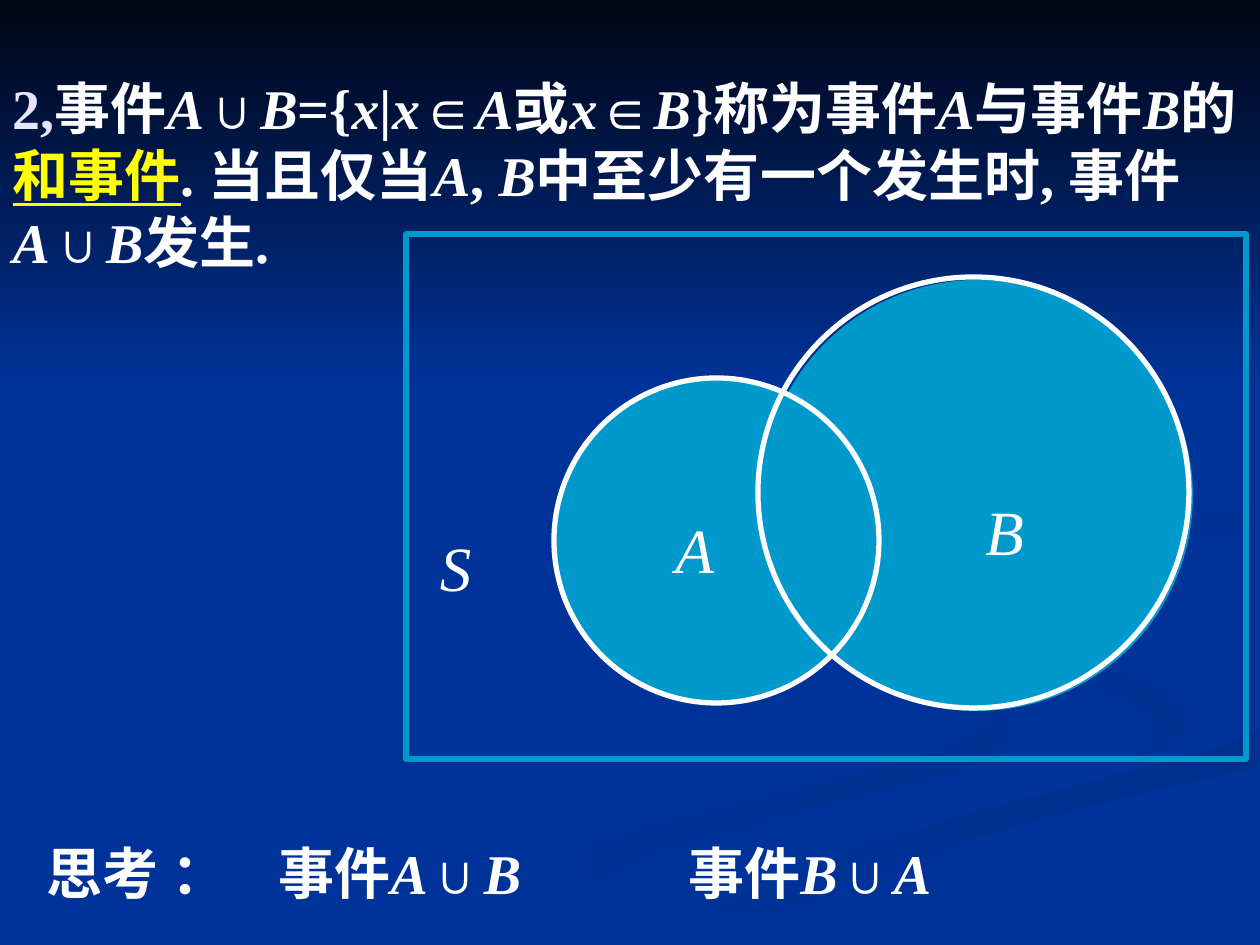
from itertools import groupby

from lxml.etree import SubElement
from pptx import Presentation
from pptx.dml.color import RGBColor
from pptx.enum.shapes import MSO_SHAPE
from pptx.enum.text import MSO_ANCHOR, MSO_AUTO_SIZE, PP_ALIGN
from pptx.oxml.ns import qn
from pptx.util import Pt

SCALE = 914400 / 126
WIDTH, HEIGHT = 1260, 945
NAVY, CYAN, WHITE, YELLOW, PALE = "003399", "0099CC", "FFFFFF", "FFFF00", "E5E5FF"

# Background ribbons: first colour, last colour, angle, outline
RIBBONS = [
    (NAVY, "003193", 0, [
        (984, 697), (954, 684), (921, 672), (859, 654), (809, 639), (774, 625),
        (748, 611), (734, 601), (725, 590), (725, 578), (718, 590), (721, 600),
        (738, 614), (770, 629), (824, 646), (878, 662), (934, 679), (970, 694),
        (984, 701), (989, 708), (990, 718), (983, 729), (966, 740), (944, 748),
        (916, 759), (881, 767), (822, 781), (730, 805), (629, 833), (525, 869),
        (426, 916), (378, 944), (455, 944), (499, 921), (587, 882), (670, 849),
        (748, 827), (820, 806), (881, 791), (932, 779), (969, 767), (990, 757),
        (1002, 746), (1008, 732), (1002, 714), (990, 701)]),
    (NAVY, "003193", 315, [
        (1188, 718), (1178, 702), (1158, 689), (1119, 674), (1071, 660),
        (1022, 648), (975, 634), (939, 617), (920, 604), (912, 585), (916, 604),
        (932, 622), (965, 645), (1004, 660), (1056, 675), (1094, 686),
        (1124, 697), (1143, 708), (1153, 719), (1157, 732), (1152, 742),
        (1143, 752), (1126, 762), (1153, 752), (1174, 742), (1186, 732)]),
    ("002F8C", NAVY, 270, [
        (654, 941), (634, 944), (719, 944), (740, 932), (774, 915), (818, 895),
        (876, 872), (948, 847), (1034, 820), (1138, 794), (1257, 767),
        (1257, 732), (1230, 744), (1179, 759), (1138, 769), (1047, 793),
        (963, 815), (877, 843), (794, 873), (717, 906)]),
    ("003091", NAVY, 315, [
        (984, 580), (985, 591), (996, 602), (1016, 614), (1041, 625),
        (1023, 614), (1014, 600), (1016, 589), (1028, 578), (1062, 564),
        (1106, 553), (1179, 541), (1223, 533), (1257, 529), (1257, 507),
        (1218, 515), (1131, 527), (1058, 538), (1021, 551), (997, 563)]),
    ("000514", NAVY, 270, [(0, 0), (0, 388), (WIDTH, 388), (WIDTH, 0)]),
]


def px(*lengths):
    return [round(length * SCALE) for length in lengths]


def color(hex_string):
    return RGBColor.from_string(hex_string)


class SlideBuilder:
    font_name = "Times New Roman"
    italic_symbols = "ABSx"

    def __init__(self, slide):
        self.slide = slide

    def background(self, fill):
        self.slide.background.fill.solid()
        self.slide.background.fill.fore_color.rgb = color(fill)

    def ribbon(self, first, last, angle, points):
        builder = self.slide.shapes.build_freeform(*points[0], scale=SCALE)
        builder.add_line_segments(points[1:], close=True)
        shape = builder.convert_to_shape()
        shape.shadow.inherit = False
        shape.line.fill.background()
        shape.fill.gradient()
        shape.fill.gradient_angle = angle
        for stop, stop_color in zip(shape.fill.gradient_stops, (first, last)):
            stop.color.rgb = color(stop_color)

    def shape(self, preset, box, fill=None, line=None):
        shape = self.slide.shapes.add_shape(preset, *px(*box))
        shape.shadow.inherit = False
        if fill:
            shape.fill.solid()
            shape.fill.fore_color.rgb = color(fill)
        else:
            shape.fill.background()
        if line:
            shape.line.color.rgb = color(line)
            shape.line.width = Pt(3)
        else:
            shape.line.fill.background()

    def add_runs(self, paragraph, text, text_color=WHITE, size=32, bold=True, underline=False):
        """Add text as runs, with the event and element symbols in italics."""
        for italic, symbols in groupby(text, lambda symbol: symbol in self.italic_symbols):
            run = paragraph.add_run()
            run.text = "".join(symbols)
            font = run.font
            font.name, font.size = self.font_name, Pt(size)
            font.bold, font.italic, font.underline = bold, italic, underline
            font.color.rgb = color(text_color)

    def title(self, box, parts):
        title = self.slide.shapes.title
        title.left, title.top, title.width, title.height = px(*box)
        # Bring the title in front of the background ribbons
        title._element.getparent().append(title._element)
        frame = title.text_frame
        frame.auto_size = MSO_AUTO_SIZE.NONE
        frame.vertical_anchor = MSO_ANCHOR.MIDDLE
        paragraph = frame.paragraphs[0]
        paragraph.alignment = PP_ALIGN.LEFT
        for text, text_color, underline in parts:
            self.add_runs(paragraph, text, text_color, underline=underline)

    def label(self, box, text):
        frame = self.slide.shapes.add_textbox(*px(*box)).text_frame
        frame.word_wrap = False
        paragraph = frame.paragraphs[0]
        paragraph.alignment = PP_ALIGN.CENTER
        self.add_runs(paragraph, text, size=36, bold=False)

    def tabbed_line(self, box, text, tab_stops):
        frame = self.slide.shapes.add_textbox(*px(*box)).text_frame
        frame.word_wrap = True
        frame.vertical_anchor = MSO_ANCHOR.MIDDLE
        paragraph = frame.paragraphs[0]
        tabs = SubElement(paragraph._p.get_or_add_pPr(), qn("a:tabLst"))
        for position in px(*tab_stops):
            SubElement(tabs, qn("a:tab"), pos=str(position), algn="l")
        self.add_runs(paragraph, text)


def main():
    presentation = Presentation()
    presentation.slide_width, presentation.slide_height = px(WIDTH, HEIGHT)
    slide = presentation.slides.add_slide(presentation.slide_layouts[5])
    builder = SlideBuilder(slide)

    builder.background(NAVY)
    for ribbon in RIBBONS:
        builder.ribbon(*ribbon)

    builder.title((0, 0, WIDTH, 348), [
        ("2,", PALE, False),
        ("事件A∪B={x|x∈A或x∈B}称为事件A与事件B的", WHITE, False),
        ("和事件", YELLOW, True),
        (". 当且仅当A, B中至少有一个发生时, 事件A∪B发生.", WHITE, False),
    ])

    builder.shape(MSO_SHAPE.OVAL, (556, 378, 325, 325), fill=CYAN)
    builder.shape(MSO_SHAPE.OVAL, (762, 280, 431, 431), fill=CYAN)
    builder.shape(MSO_SHAPE.RECTANGLE, (406, 234, 840, 525), line=CYAN)
    builder.shape(MSO_SHAPE.OVAL, (758, 277, 431, 431), line=WHITE)
    builder.shape(MSO_SHAPE.OVAL, (554, 378, 325, 325), line=WHITE)
    builder.label((427, 522, 57, 88), "S")
    builder.label((663, 504, 63, 88), "A")
    builder.label((973, 486, 63, 88), "B")

    builder.tabbed_line((34, 800, WIDTH, 145), "思考 ：\t事件A∪B\t事件B∪A", (232, 642))
    presentation.save("out.pptx")


if __name__ == "__main__":
    main()
